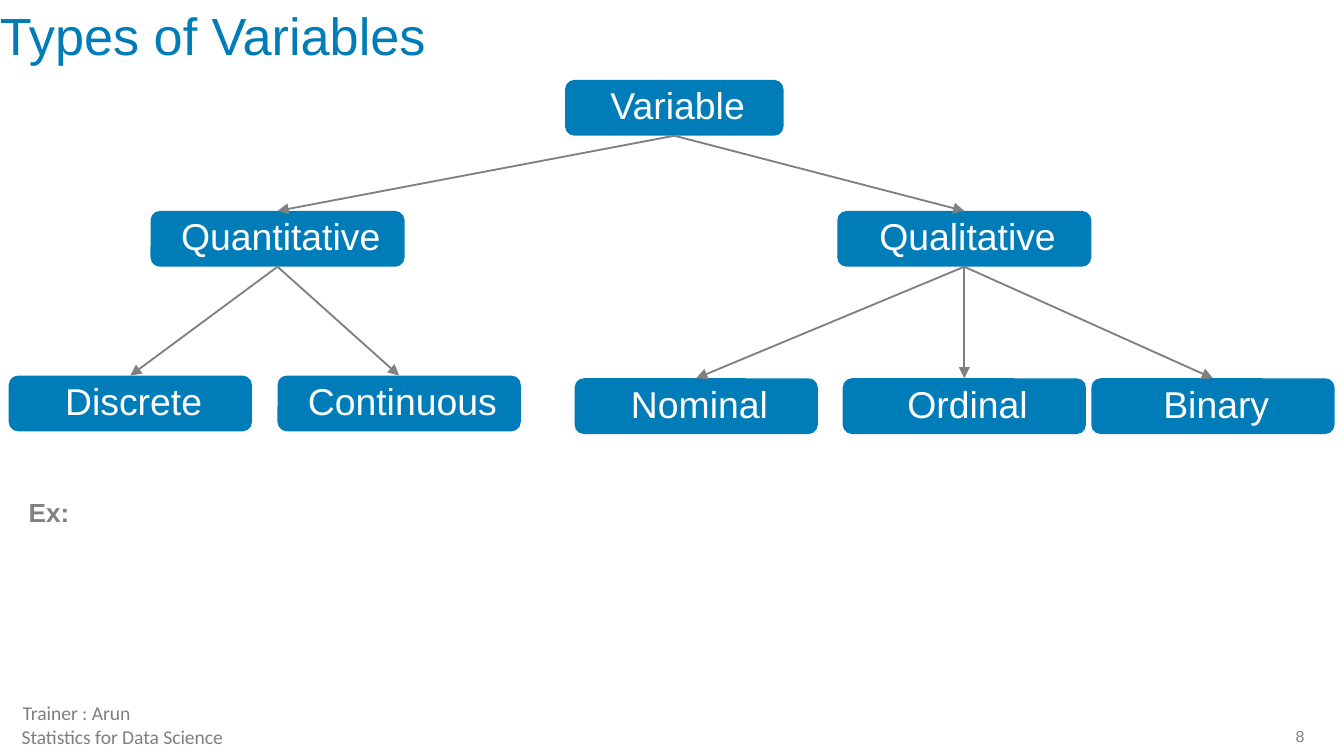
import dataclasses

import lxml.etree
import pptx
import pptx.dml.color
import pptx.enum.shapes
import pptx.enum.text
import pptx.oxml.ns
import pptx.util

PX = 4572
BLUE = "007DB8"
GRAY = "808080"
FOOTER_GRAY = "7F7F7F"
WHITE = "FFFFFF"
BOX_HEIGHT = 83
TOP, BOTTOM = 0, 2
ALIGN = pptx.enum.text.PP_ALIGN
ANCHOR = pptx.enum.text.MSO_ANCHOR


@dataclasses.dataclass(frozen=True)
class Node:
    label: str
    left: int
    top: int
    width: int
    parent: str = ""


@dataclasses.dataclass(frozen=True)
class Label:
    text: str
    left: int
    top: int
    width: int
    height: int
    size: float
    color: str
    font: str = "Arial"
    align: ALIGN = ALIGN.LEFT
    anchor: ANCHOR = ANCHOR.TOP
    margins: tuple[int, int, int, int] = (0, 0, 0, 0)
    bold: bool = False
    wrap: bool = True
    line_spacing: float = 1.0


NODES = [
    Node("Variable", 841, 119, 325),
    Node("Quantitative", 224, 314, 378, "Variable"),
    Node("Qualitative", 1246, 314, 378, "Variable"),
    Node("Discrete", 13, 559, 362, "Quantitative"),
    Node("Continuous", 413, 559, 362, "Quantitative"),
    Node("Nominal", 855, 563, 362, "Qualitative"),
    Node("Ordinal", 1254, 563, 362, "Qualitative"),
    Node("Binary", 1624, 563, 362, "Qualitative"),
]

LABELS = [
    Label("8", 1911, 1084, 30, 26, 8.5, GRAY, align=ALIGN.RIGHT,
          anchor=ANCHOR.MIDDLE, wrap=False, line_spacing=0.9),
    Label("Trainer : Arun", -16, 1043, 260, 36, 10.5, FOOTER_GRAY, "Calibri",
          ALIGN.CENTER, ANCHOR.MIDDLE),
    Label("Statistics for Data Science", 0, 1078, 364, 36, 10.5, FOOTER_GRAY, "Calibri",
          ALIGN.CENTER, ANCHOR.MIDDLE),
    Label("Types of Variables", 0, 6, 1740, 140, 28, BLUE,
          margins=(0, 10, 0, 10), line_spacing=0.9),
    Label("Ex:", 23, 729, 130, 68, 14, GRAY, margins=(20, 10, 20, 10), bold=True),
]


def px(length: int) -> int:
    return length * PX


def rgb(color: str) -> pptx.dml.color.RGBColor:
    return pptx.dml.color.RGBColor.from_string(color)


def write_text(box, label: Label) -> None:
    frame = box.text_frame
    frame.text = label.text
    frame.word_wrap = label.wrap
    frame.vertical_anchor = label.anchor
    left, top, right, bottom = label.margins
    frame.margin_left, frame.margin_top = px(left), px(top)
    frame.margin_right, frame.margin_bottom = px(right), px(bottom)
    para = frame.paragraphs[0]
    para.alignment = label.align
    para.line_spacing = label.line_spacing
    font = para.runs[0].font
    font.name = label.font
    font.size = pptx.util.Pt(label.size)
    font.bold = label.bold
    font.color.rgb = rgb(label.color)


def draw_label(page, label: Label) -> None:
    box = page.shapes.add_textbox(
        px(label.left), px(label.top), px(label.width), px(label.height))
    write_text(box, label)


def draw_node(page, node: Node):
    box = page.shapes.add_shape(
        pptx.enum.shapes.MSO_SHAPE.ROUNDED_RECTANGLE,
        px(node.left), px(node.top), px(node.width), px(BOX_HEIGHT))
    box.shadow.inherit = False
    box.fill.solid()
    box.fill.fore_color.rgb = rgb(BLUE)
    box.line.fill.background()
    write_text(box, Label(
        node.label, node.left, node.top, node.width, BOX_HEIGHT, 20, WHITE,
        align=ALIGN.CENTER, anchor=ANCHOR.MIDDLE,
        margins=(40, 30, 30, 30), line_spacing=0.9))
    return box


def draw_arrow(page, parent, child) -> None:
    arrow = page.shapes.add_connector(
        pptx.enum.shapes.MSO_CONNECTOR.STRAIGHT, 0, 0, 0, 0)
    arrow.begin_connect(parent, BOTTOM)
    arrow.end_connect(child, TOP)
    arrow.line.color.rgb = rgb(GRAY)
    arrow.line.width = pptx.util.Pt(1)
    qn = pptx.oxml.ns.qn
    properties = arrow.line._get_or_add_ln()
    lxml.etree.SubElement(properties, qn("a:tailEnd"), type="triangle")
    lxml.etree.SubElement(arrow._element.spPr, qn("a:effectLst"))


def main() -> None:
    deck = pptx.Presentation()
    deck.slide_width, deck.slide_height = px(2000), px(1125)
    page = deck.slides.add_slide(deck.slide_layouts[6])
    for label in LABELS:
        draw_label(page, label)
    boxes = {node.label: draw_node(page, node) for node in NODES}
    for node in NODES:
        if node.parent:
            draw_arrow(page, boxes[node.parent], boxes[node.label])
    deck.save("out.pptx")


if __name__ == "__main__":
    main()
